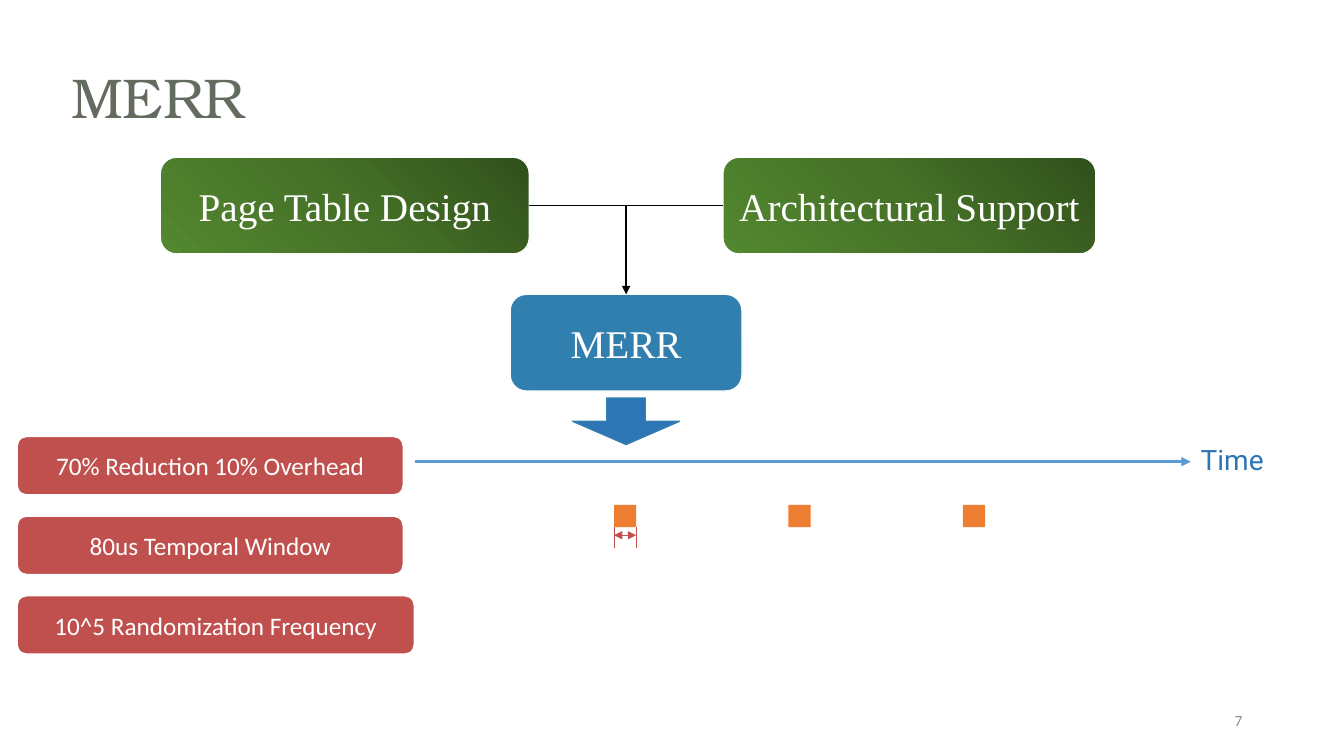
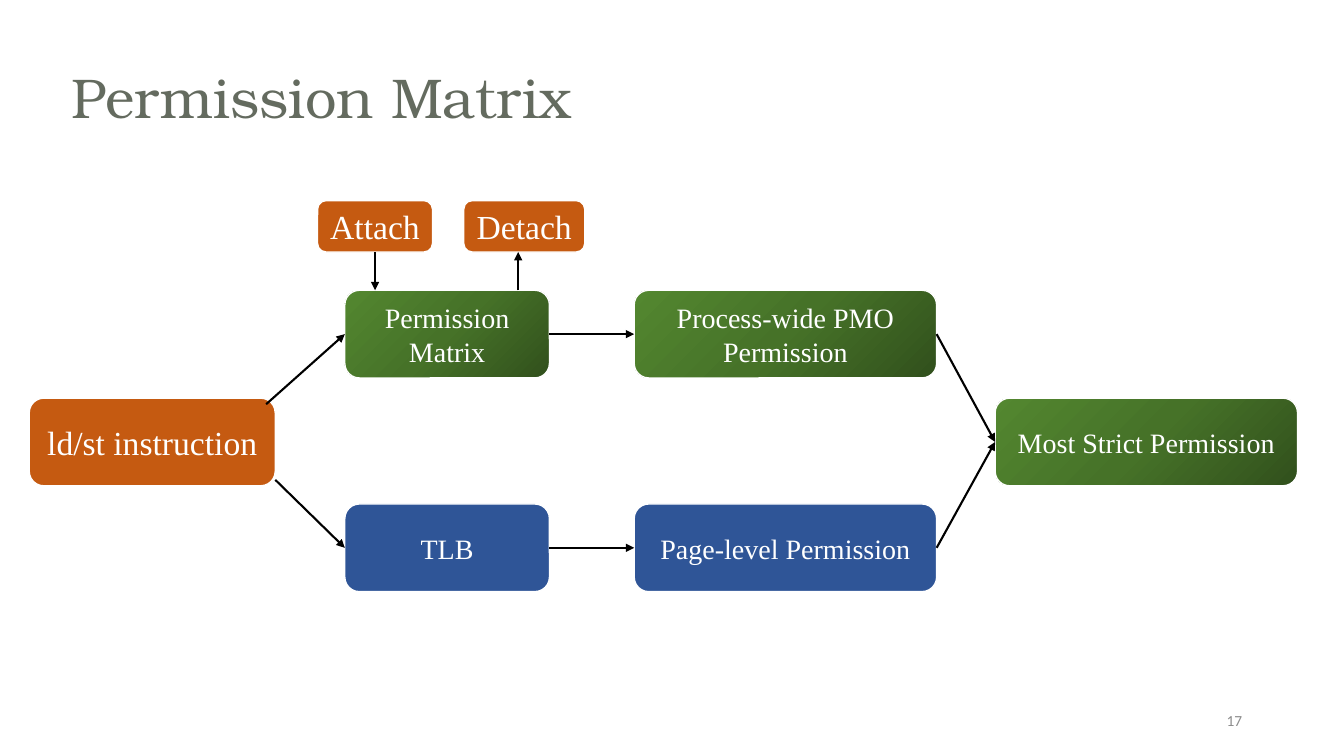
from lxml import etree
from pptx import Presentation
from pptx.dml.color import RGBColor
from pptx.enum.shapes import MSO_CONNECTOR, MSO_SHAPE
from pptx.enum.text import MSO_ANCHOR as ANCHOR, PP_ALIGN as ALIGN
from pptx.oxml import parse_xml
from pptx.oxml.ns import nsdecls, qn
from pptx.util import Inches, Pt

WHITE, BLACK = "FFFFFF", "000000"
TITLE_GREY, NUMBER_GREY = "646B5F", "8C8C8C"
ORANGE, NAVY, TEAL, RED = "C55A11", "2F5597", "317FAF", "C0504D"
BLUE, LIGHT_BLUE, BRIGHT_ORANGE = "2E75B6", "5B9BD5", "ED7D31"
GREEN_STOPS = ((0, "31501C"), (50, "467228"), (100, "538730"))
DIAGONAL = '<a:lin ang="13500000" scaled="1"/>'
RADIAL = '<a:path path="circle"><a:fillToRect l="100000" b="100000"/></a:path>'
SERIF, SANS, TITLE_FONT, TIME_FONT = "Times New Roman", "Calibri", "TeX Gyre Bonum", "Roboto"
TOP, LEFT, BOTTOM, RIGHT = range(4)


def paint(target, color):
    """Give a fill or a line fill one solid colour."""
    target.solid()
    target.fore_color.rgb = RGBColor.from_string(color)


def paint_green(shape, direction):
    """Fill a shape with the green gradient."""
    stops = "".join(
        f'<a:gs pos="{position * 1000}"><a:srgbClr val="{color}"/></a:gs>'
        for position, color in GREEN_STOPS
    )
    gradient = parse_xml(
        f'<a:gradFill {nsdecls("a")} rotWithShape="1">'
        f"<a:gsLst>{stops}</a:gsLst>{direction}</a:gradFill>"
    )
    shape.fill.background()
    properties = shape.element.spPr
    properties.replace(properties.find(qn("a:noFill")), gradient)


def write(frame, text, size, font, color, align=ALIGN.LEFT, anchor=ANCHOR.MIDDLE, spacing=1.0):
    """Set text, one paragraph a line, in one style."""
    frame.word_wrap = True
    frame.vertical_anchor = anchor
    frame.text = text
    for para in frame.paragraphs:
        para.alignment = align
        para.line_spacing = spacing
        para.font.size = Pt(size)
        para.font.name = font
        para.font.color.rgb = RGBColor.from_string(color)


def add_text(page, box, text, size, font, color, **style):
    """Add a text box."""
    label = page.shapes.add_textbox(*map(Inches, box))
    write(label.text_frame, text, size, font, color, **style)


def add_shape(page, kind, box, fill, outline=None):
    """Add a preset shape; a fill starting with < is a gradient direction."""
    shape = page.shapes.add_shape(kind, *map(Inches, box))
    shape.shadow.inherit = False
    if fill.startswith("<"):
        paint_green(shape, fill)
    else:
        paint(shape.fill, fill)
    if outline:
        paint(shape.line.fill, outline)
        shape.line.width = Pt(1)
    else:
        shape.line.fill.background()
    return shape


def add_block(page, box, text, fill, size, font=SERIF):
    """Add a rounded block with centred white text."""
    block = add_shape(page, MSO_SHAPE.ROUNDED_RECTANGLE, box, fill, WHITE)
    block.text_frame.margin_left = block.text_frame.margin_right = Inches(0.05)
    write(block.text_frame, text, size, font, WHITE, align=ALIGN.CENTER)
    return block


def add_line(page, start, end, color=BLACK, width=1.5, ends=("tailEnd",)):
    """Add a straight line with arrowheads at the named ends."""
    line = page.shapes.add_connector(MSO_CONNECTOR.STRAIGHT, *map(Inches, (*start, *end)))
    paint(line.line.fill, color)
    line.line.width = Pt(width)
    for end_name in ends:
        etree.SubElement(line.line._get_or_add_ln(), qn(f"a:{end_name}"), type="triangle")
    etree.SubElement(line.element.spPr, qn("a:effectLst"))
    return line


def join(page, source, target, sites=(RIGHT, LEFT), **style):
    """Connect two blocks at their edge midpoints."""
    line = add_line(page, (0, 0), (1, 1), **style)
    line.begin_connect(source, sites[0])
    line.end_connect(target, sites[1])


def start_page(deck, title, number):
    """Add a page with its title and number."""
    page = deck.slides.add_slide(deck.slide_layouts[6])
    add_text(page, (0.61, 0.6, 12.12, 0.8), title, 40, TITLE_FONT, TITLE_GREY, spacing=0.9)
    add_text(page, (9.42, 6.95, 3, 0.4), number, 11, SANS, NUMBER_GREY, align=ALIGN.RIGHT)
    return page


def add_design(page, left, top):
    """Draw the two designs that merge into one."""
    height, middle = 0.96, left + 4.62
    table = add_block(page, (left, top, 3.66, height), "Page Table Design", RADIAL, 28)
    support = add_block(
        page, (left + 5.58, top, 3.7, height), "Architectural Support", RADIAL, 28
    )
    add_block(page, (middle - 1.15, top + 1.36, 2.3, height), "MERR", TEAL, 28)
    join(page, table, support, width=1, ends=())
    add_line(page, (middle, top + height / 2), (middle, top + 1.36), width=1)
    arrow = add_shape(
        page, MSO_SHAPE.DOWN_ARROW, (middle - 0.53, top + 2.39, 1.06, 0.46), BLUE, TEAL
    )
    arrow.adjustments[0] = 0.36


def add_results(page, left, top):
    """Stack the result blocks at an equal pitch."""
    results = (
        ("70% Reduction 10% Overhead", 3.83),
        ("80us Temporal Window", 3.83),
        ("10^5 Randomization Frequency", 3.94),
    )
    for row, (text, width) in enumerate(results):
        add_block(page, (left, top + row * 0.79, width, 0.58), text, RED, 18, SANS)


def add_timeline(page, left, top, width):
    """Draw the time axis, its windows and the width mark of the first."""
    add_line(page, (left, top), (left + width, top), LIGHT_BLUE, 2.25)
    add_text(
        page, (left + width, top - 0.2, 1.52, 0.48), "Time", 20, TIME_FONT, BLUE,
        anchor=ANCHOR.TOP, spacing=0.9,
    )
    side, first, window_top = 0.22, left + 1.97, top + 0.43
    for step in range(3):
        add_shape(
            page, MSO_SHAPE.RECTANGLE, (first + step * 1.73, window_top, side, side),
            BRIGHT_ORANGE,
        )
    bottom = window_top + side
    for edge in (first, first + side):
        add_line(page, (edge, bottom), (edge, bottom + 0.21), RED, 0.5, ())
    add_line(
        page, (first, bottom + 0.08), (first + side, bottom + 0.08), RED, 0.5,
        ("headEnd", "tailEnd"),
    )


def add_permission_flow(page, left, top):
    """Draw the two permission checks from instruction to result."""
    height = 0.87
    upper, centre, lower = top + 0.89, top + 1.96, top + 3.01
    matrix_left, level_left = left + 3.13, left + 6

    def block(x, y, width, text, fill, size=20):
        """Add one block of the flow."""
        return add_block(page, (x, y, width, height), text, fill, size)

    block(left, centre, 2.44, "ld/st instruction", ORANGE, 24)
    matrix = block(matrix_left, upper, 2.03, "Permission\nMatrix", DIAGONAL)
    buffer = block(matrix_left, lower, 2.03, "TLB", NAVY)
    process = block(level_left, upper, 3, "Process-wide PMO Permission", DIAGONAL)
    level = block(level_left, lower, 3, "Page-level Permission", NAVY)
    strict = block(left + 9.58, centre, 3, "Most Strict Permission", DIAGONAL)
    for source, target in (
        (matrix, process), (buffer, level), (process, strict), (level, strict),
    ):
        join(page, source, target)
    add_line(page, (left + 2.35, centre + 0.06), (matrix_left, upper + height / 2))
    add_line(page, (left + 2.44, centre + 0.81), (matrix_left, lower + height / 2))

    for x, width, text in ((2.86, 1.14, "Attach"), (4.31, 1.2, "Detach")):
        add_block(page, (left + x, top, width, 0.51), text, ORANGE, 24)
    attach_x, detach_x, call_bottom = left + 3.43, left + 4.85, top + 0.51
    add_line(page, (attach_x, call_bottom), (attach_x, upper))
    add_line(page, (detach_x, upper), (detach_x, call_bottom))


def main():
    """Build and save the deck."""
    deck = Presentation()
    deck.slide_width, deck.slide_height = Inches(13.33), Inches(7.5)
    page = start_page(deck, "MERR", "7")
    add_design(page, 1.59, 1.56)
    add_timeline(page, 4.12, 4.58, 7.69)
    add_results(page, 0.17, 4.33)
    page = start_page(deck, "Permission Matrix", "17")
    add_permission_flow(page, 0.29, 1.99)
    deck.save("out.pptx")


if __name__ == "__main__":
    main()
